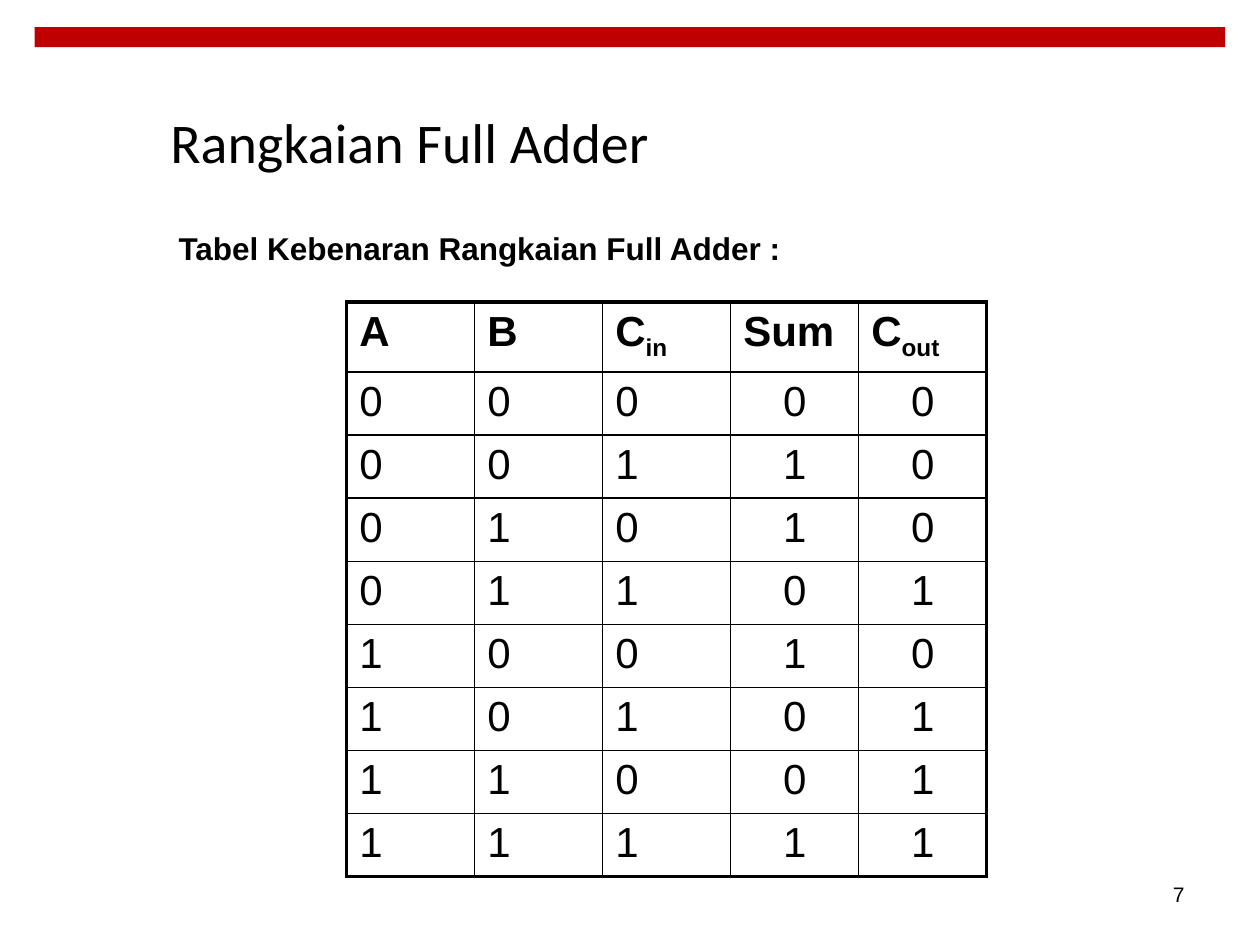
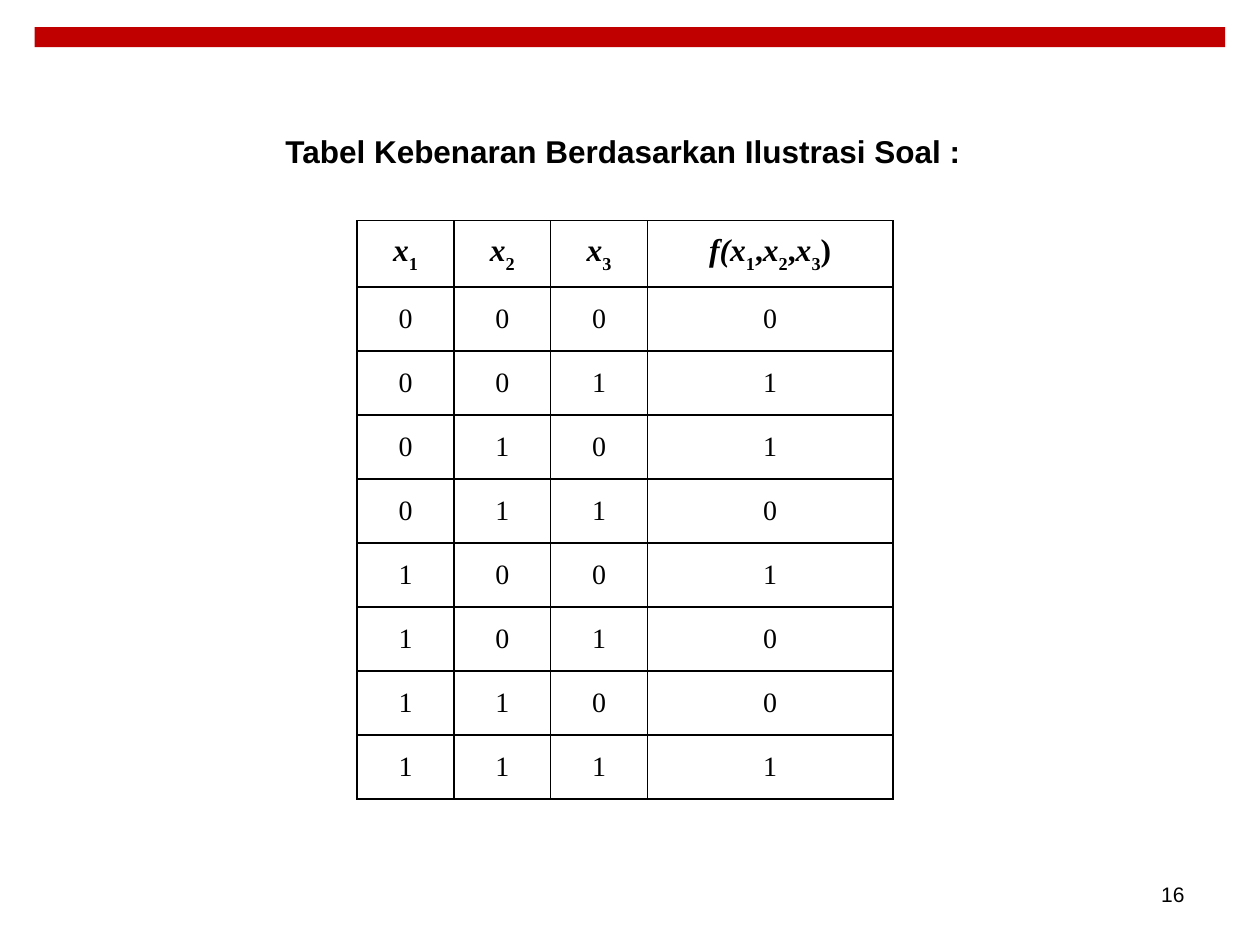
from itertools import product

from lxml import etree
from pptx import Presentation
from pptx import util as u
from pptx.dml import color as dml
from pptx.enum import shapes, text
from pptx.oxml import ns

COLORS = {"band": "C00000", "ink": "000000"}
LEFT, CENTER, RIGHT = text.PP_ALIGN.LEFT, text.PP_ALIGN.CENTER, text.PP_ALIGN.RIGHT
MIDDLE, TOP = text.MSO_ANCHOR.MIDDLE, text.MSO_ANCHOR.TOP


def write(frame, content, font, size, bold=False, align=LEFT, subscript=-25):
    paragraph = frame.paragraphs[0]
    paragraph.alignment = align
    paragraph.font.name = font
    paragraph.font.size = u.Pt(size)
    paragraph.font.bold = bold
    paragraph.font.color.rgb = dml.RGBColor.from_string(COLORS["ink"])
    runs = [(content, "")] if isinstance(content, str) else content
    for words, style in runs:
        run = paragraph.add_run()
        run.text = words
        if style == "italic":
            run.font.italic = True
        elif style == "sub":
            run.font._element.set("baseline", str(subscript * 1000))


def draw_border(cell, position, side, width):
    line = etree.Element(ns.qn(f"a:ln{side}"), w=str(u.Pt(width)))
    fill = etree.SubElement(line, ns.qn("a:solidFill"))
    etree.SubElement(fill, ns.qn("a:srgbClr"), val=COLORS["ink"])
    cell._tc.get_or_add_tcPr().insert(position, line)


inputs = list(product([0, 1], repeat=3))
adder_rows = [(a, b, c, (a + b + c) % 2, (a + b + c) // 2) for a, b, c in inputs]
parity_rows = [row[:4] for row in adder_rows]
x1, x2, x3 = ([("x", "italic"), (digit, "sub")] for digit in "123")
function_label = [("f(", "italic"), *x1, (",", ""), *x2, (",", ""), *x3, (")", "")]

pages = [
    {
        "number": "7",
        "title": ("Rangkaian Full Adder", "Calibri", 32, False),
        "title_box": (3.18, 1.65, 20.12, 2.41),
        "table_at": (6.99, 6.09),
        "columns": [2.58] * 5,
        "row_heights": [1.35] + [1.27] * 8,
        "header": ["A", "B", [("C", ""), ("in", "sub")], "Sum", [("C", ""), ("out", "sub")]],
        "rows": adder_rows,
        "font": "Arial",
        "sizes": (24, 24),
        "subscript": -25,
        "header_align": LEFT,
        "aligns": [LEFT] * 3 + [CENTER] * 2,
        "anchor": TOP,
        "frame_width": 2.25,
    },
    {
        "number": "16",
        "title": ("Tabel Kebenaran Berdasarkan Ilustrasi Soal :", "Arial", 18, True),
        "title_box": (5.5, 2.54, 14.18, 1.02),
        "table_at": (7.2, 4.45),
        "columns": [1.95] * 3 + [4.95],
        "row_heights": [1.34] + [1.29] * 8,
        "header": [x1, x2, x3, function_label],
        "rows": parity_rows,
        "font": "Times New Roman",
        "sizes": (18, 16),
        "subscript": -30,
        "header_align": CENTER,
        "aligns": [CENTER] * 4,
        "anchor": MIDDLE,
        "frame_width": 1,
    },
]

presentation = Presentation()
presentation.slide_width, presentation.slide_height = u.Cm(25.4), u.Cm(19.05)

for page in pages:
    slide = presentation.slides.add_slide(presentation.slide_layouts[5])

    band = slide.shapes.add_shape(
        shapes.MSO_SHAPE.RECTANGLE, u.Cm(0.7), u.Cm(0.55), u.Cm(24), u.Cm(0.4))
    band.shadow.inherit = False
    band.fill.solid()
    band.fill.fore_color.rgb = dml.RGBColor.from_string(COLORS["band"])
    band.line.fill.background()

    title = slide.shapes.title
    title.left, title.top, title.width, title.height = map(u.Cm, page["title_box"])
    title.text_frame.auto_size = text.MSO_AUTO_SIZE.NONE
    title.text_frame.word_wrap = False
    title.text_frame.vertical_anchor = MIDDLE
    write(title.text_frame, *page["title"])

    number = slide.shapes.add_textbox(u.Cm(18.2), u.Cm(17.36), u.Cm(5.93), u.Cm(1.32))
    number.text_frame.word_wrap = True
    number.text_frame.vertical_anchor = MIDDLE
    write(number.text_frame, page["number"], "Arial", 12, align=RIGHT)

    columns, heights = page["columns"], page["row_heights"]
    left, top = page["table_at"]
    table = slide.shapes.add_table(
        len(heights), len(columns), u.Cm(left), u.Cm(top),
        u.Cm(sum(columns)), u.Cm(sum(heights))).table
    table.first_row = table.horz_banding = False
    for column, width in zip(table.columns, columns):
        column.width = u.Cm(width)
    for row, height in zip(table.rows, heights):
        row.height = u.Cm(height)

    last_row, last_column = len(heights) - 1, len(columns) - 1
    for r, values in enumerate([page["header"], *page["rows"]]):
        for c, value in enumerate(values):
            cell = table.cell(r, c)
            cell.fill.background()
            cell.vertical_anchor = page["anchor"]
            is_header = r == 0
            write(
                cell.text_frame,
                value if is_header else str(value),
                page["font"],
                page["sizes"][0 if is_header else 1],
                is_header,
                page["header_align"] if is_header else page["aligns"][c],
                page["subscript"],
            )
            outer_sides = {"L": c == 0, "R": c == last_column, "T": r == 0, "B": r == last_row}
            for position, (side, outer) in enumerate(outer_sides.items()):
                draw_border(cell, position, side, page["frame_width"] if outer else 1)

caption = presentation.slides[0].shapes.add_textbox(
    u.Cm(3.35), u.Cm(4.5), u.Cm(12.73), u.Cm(1.02))
caption.text_frame.word_wrap = False
write(caption.text_frame, "Tabel Kebenaran Rangkaian Full Adder :", "Arial", 18, True)

presentation.save("out.pptx")
